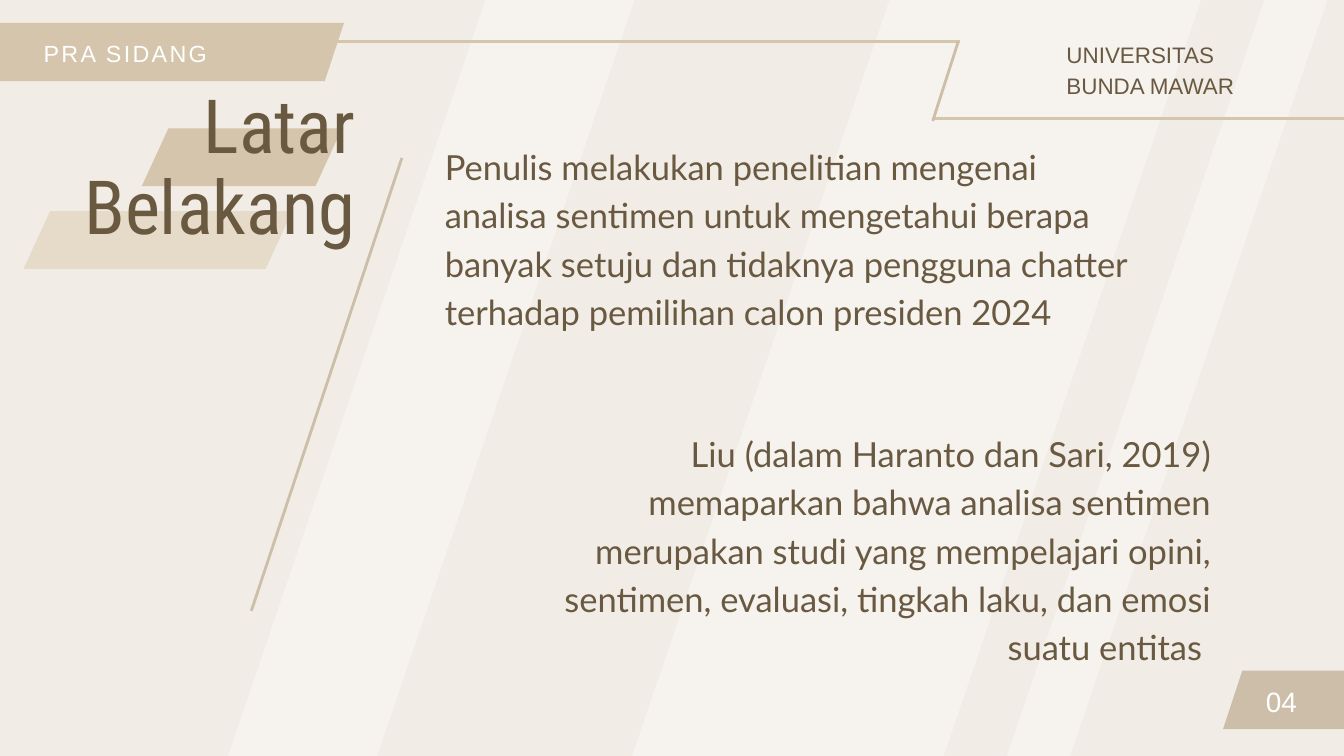
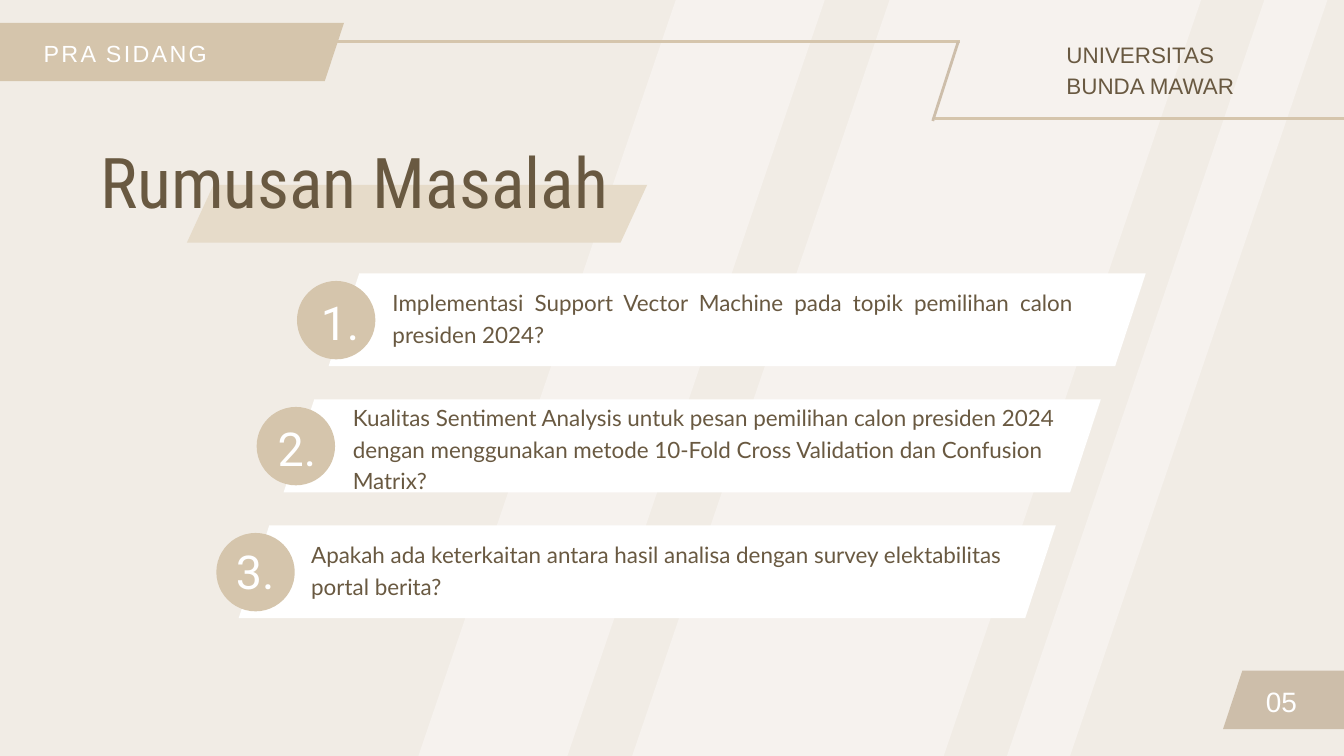
from lxml import etree
from pptx import Presentation
from pptx.dml.color import RGBColor
from pptx.enum.shapes import MSO_CONNECTOR as Link, MSO_SHAPE as Kind
from pptx.enum.text import MSO_AUTO_SIZE as Fit, PP_ALIGN as Align
from pptx.oxml.ns import qn
from pptx.util import Pt

hue = RGBColor.from_string
BROWN, TAN, SAND, CLAY = "695941", "D5C5AC", "E6DBC9", "CDBEAA"
CREAM, PALE, WHITE = "F1ECE5", "F6F2EE", "FFFFFF"


def form(slide, kind, box, fill, slant=None, turn=0):
    shape = slide.shapes.add_shape(kind, *map(Pt, box))
    shape.shadow.inherit = False
    shape.fill.solid()
    shape.fill.fore_color.rgb = hue(fill)
    shape.line.fill.background()
    shape.rotation = turn
    if slant:
        shape.adjustments[0] = slant


def text(slide, words, box, size, lead, font="Arial", color=BROWN, align=Align.LEFT, space=0):
    frame = slide.shapes.add_textbox(*map(Pt, box)).text_frame
    frame.margin_left = frame.margin_top = frame.margin_right = frame.margin_bottom = 0
    frame.word_wrap = True
    frame.auto_size = Fit.SHAPE_TO_FIT_TEXT
    for i, line in enumerate(words.split("\n")):
        para = frame.add_paragraph() if i else frame.paragraphs[0]
        para.alignment = align
        para.line_spacing = Pt(lead)
        run = para.add_run()
        run.text = line
        run.font.name = font
        run.font.size = Pt(size)
        run.font.color.rgb = hue(color)
        if space:
            run._r.get_or_add_rPr().set("spc", str(int(space * 100)))


deck = Presentation()
deck.slide_width, deck.slide_height = Pt(1440), Pt(810)

rules = [
    (349.9, 44.6, 1028.2, 44.6, TAN),
    (1001.5, 127.4, 1467.4, 127.4, TAN),
    (999.4, 129.6, 1026.7, 44.6, CLAY),
]
slash = (269.3, 654.5, 430.6, 169.2, CLAY)
pages = [
    ("04", (389.5, -92.2), rules + [slash]),
    ("05", (588.2, -77), rules),
]
slides = []
for page, spot, lines in pages:
    slide = deck.slides.add_slide(deck.slide_layouts[6])
    slides.append(slide)
    slide.background.fill.solid()
    slide.background.fill.fore_color.rgb = hue(CREAM)
    beams = [
        (*spot, 151.2, 977),
        (824.4, -108.7, 316.1, 1025.3),
        (1221.1, -107.3, 64.1, 1009.4),
    ]
    for beam in beams:
        form(slide, Kind.RECTANGLE, beam, PALE, turn=18.8)
    form(slide, Kind.PARALLELOGRAM, (1310.4, 718.6, 185.8, 62.6), CLAY, 0.33)
    form(slide, Kind.PARALLELOGRAM, (-45.4, 24.5, 414, 62.6), TAN, 0.33)
    for *ends, color in lines:
        rule = slide.shapes.add_connector(Link.STRAIGHT, *map(Pt, ends))
        rule.line.width = Pt(3)
        rule.line.color.rgb = hue(color)
        etree.SubElement(rule._element.spPr, qn("a:effectLst"))
    text(slide, "PRA SIDANG", (46.8, 36.7, 377.3, 33.8), 25, 35, color=WHITE, space=2.5)
    text(slide, "UNIVERSITAS\nBUNDA MAWAR", (1142.6, 38.9, 270, 64.8), 24, 33.6,
         align=Align.JUSTIFY)
    text(slide, page, (1283.8, 727.2, 105.8, 41), 30, 42, color=WHITE, align=Align.RIGHT)

back, asks = slides

form(back, Kind.PARALLELOGRAM, (25.2, 226.1, 288, 62), SAND, 0.46)
form(back, Kind.PARALLELOGRAM, (151.9, 137.5, 214.6, 62), TAN, 0.46)
text(back, "Latar\nBelakang", (0, 94.3, 380.9, 176.4), 80, 86.4, "Roboto Condensed",
     align=Align.RIGHT)
text(back, "Penulis melakukan penelitian mengenai analisa sentimen untuk mengetahui "
     "berapa banyak setuju dan tidaknya pengguna chatter terhadap pemilihan calon "
     "presiden 2024", (476.6, 149, 745.2, 206), 37, 51.8, "Lato")
text(back, "Liu (dalam Haranto dan Sari, 2019) memaparkan bahwa analisa sentimen "
     "merupakan studi yang mempelajari opini, sentimen, evaluasi, tingkah laku, dan "
     "emosi suatu entitas ", (552.2, 456.5, 745.2, 257), 37, 51.8, "Lato", align=Align.RIGHT)

form(asks, Kind.PARALLELOGRAM, (200.2, 198, 493.2, 62), SAND, 0.46)
text(asks, "Rumusan Masalah", (107.3, 133.9, 682.6, 101.5), 75, 105, "Roboto Condensed")
items = [
    ("Implementasi Support Vector Machine pada topik pemilihan calon presiden 2024?",
     (420.5, 305.3, 728.6, 64.8), Align.JUSTIFY, (304.6, 304.6)),
    ("Kualitas Sentiment Analysis untuk pesan pemilihan calon presiden 2024 dengan "
     "menggunakan metode 10-Fold Cross Validation dan Confusion Matrix?",
     (378, 428.4, 777.6, 99.4), Align.LEFT, (258.5, 439.9)),
    ("Apakah ada keterkaitan antara hasil analisa dengan survey elektabilitas portal berita?",
     (333.4, 575.3, 774, 65.5), Align.LEFT, (213.8, 571.7)),
]
for i, (ask, box, align, spot) in enumerate(items):
    drop = 135 * i
    form(asks, Kind.PARALLELOGRAM, (352.1 - 48.2 * i, 293 + drop, 875.5, 99.4), WHITE, 0.33)
    form(asks, Kind.OVAL, (318.2 - 43.2 * i, 301 + drop, 84, 84), TAN)
    text(asks, f"{i + 1}.", (*spot, 119.5, 67.7), 50, 70, "Roboto", WHITE, Align.CENTER)
    text(asks, ask, box, 24, 33.6, "Lato", align=align)

deck.save("out.pptx")
